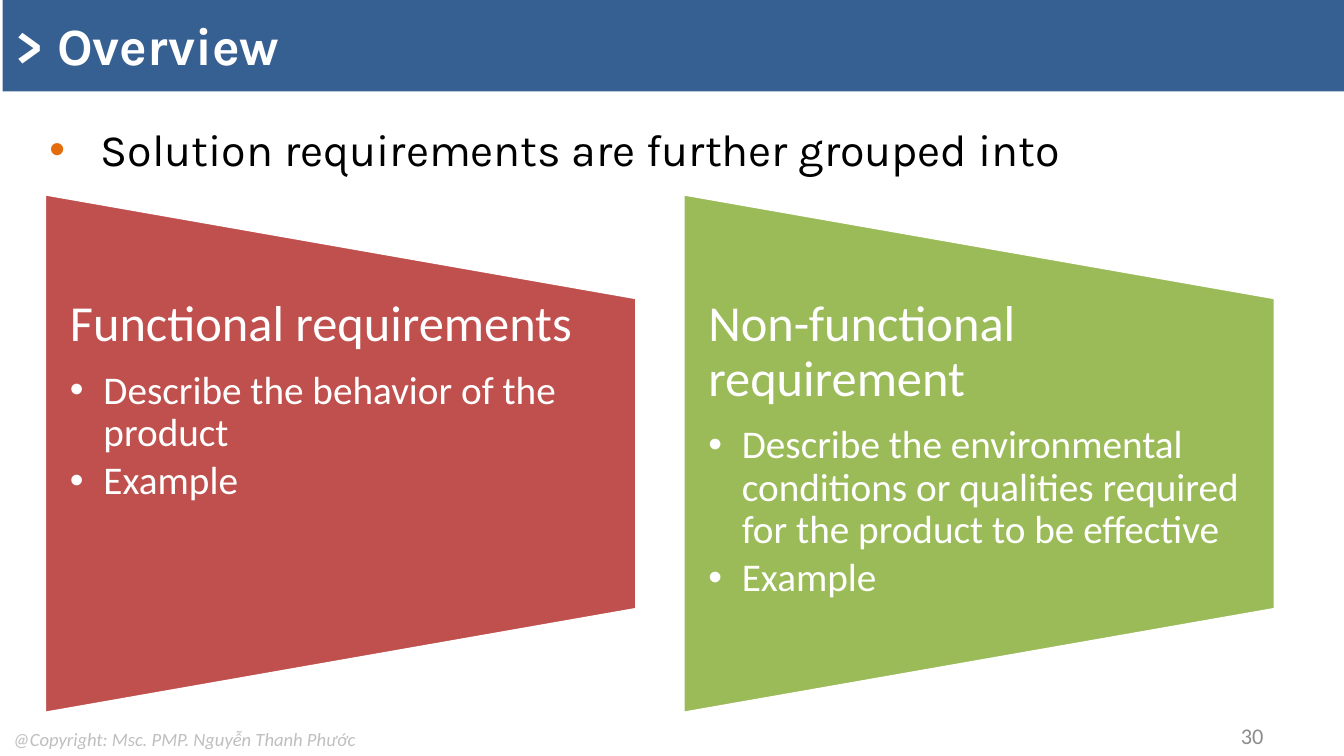
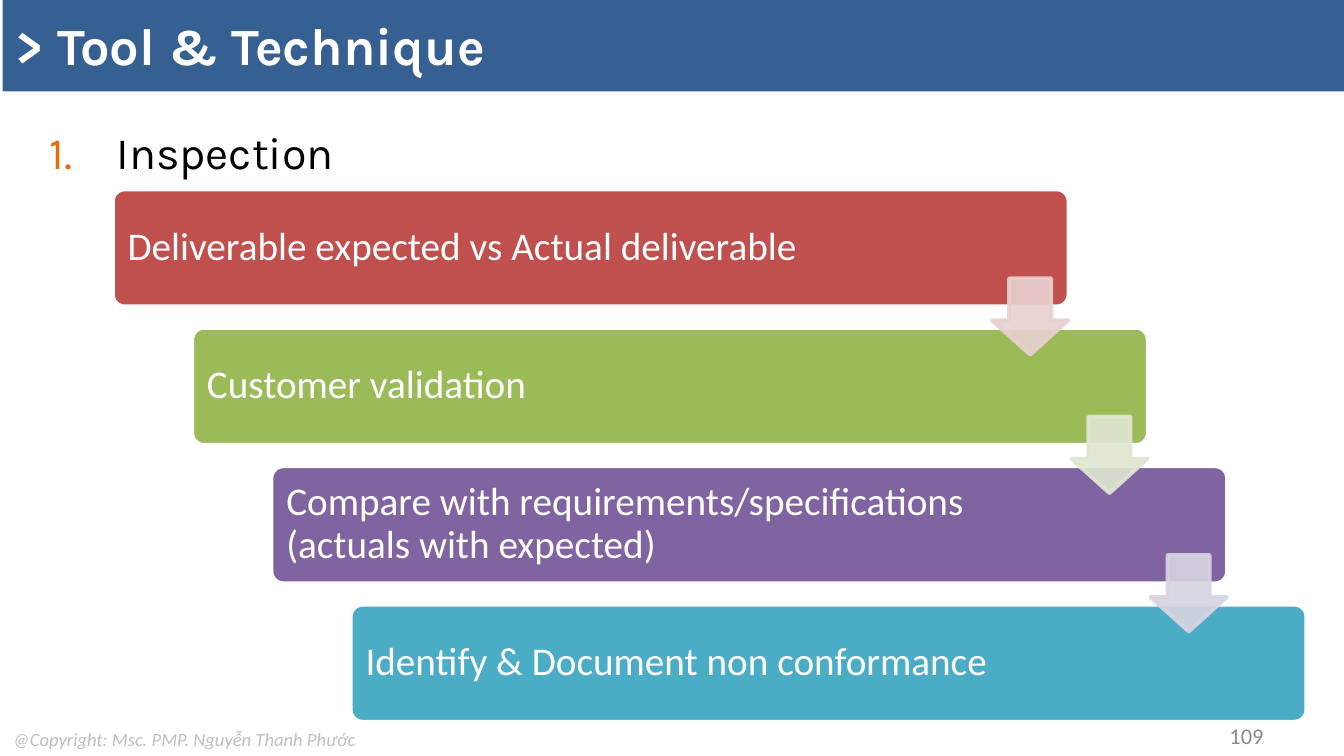
from dataclasses import dataclass
from typing import Optional
from lxml import etree
from pptx import Presentation
from pptx import util as u
from pptx.dml import color
from pptx.enum import shapes, text
from pptx.oxml import ns

HUES = {
    "band": "376092", "white": "FFFFFF", "black": "000000",
    "note": "BFBFBF", "page": "8C8C8C", "mark": "E46C0A",
    "red": "C0504D", "green": "9BBB59", "plum": "8064A2", "teal": "4BACC6",
    "pink": "E8D0D0", "mint": "DEE7D1", "mauve": "D8D3E0",
}
KINDS = shapes.MSO_SHAPE
MID = text.MSO_ANCHOR.MIDDLE
TOP = text.MSO_ANCHOR.TOP


@dataclass
class Box:
    x: float
    y: float
    w: float
    h: float

    def emu(self) -> list:
        return [u.Inches(v) for v in (self.x, self.y, self.w, self.h)]


@dataclass
class Style:
    size: float
    hue: str = "white"
    face: str = "Calibri"
    bold: bool = False
    slant: bool = False
    after: float = 0
    lead: Optional[float] = None
    align: text.PP_ALIGN = text.PP_ALIGN.LEFT
    level: int = 0
    indent: float = 0
    mark: str = ""
    tint: str = ""


@dataclass
class Panel:
    hue: str
    head: str
    items: list


@dataclass
class Step:
    hue: str
    label: str
    arrow: str = ""


TITLE = Style(28, face="Karla", bold=True)
NOTE = Style(10, "note", slant=True)
PAGE = Style(12, "page", align=text.PP_ALIGN.RIGHT)
POINT = Style(24, "black", "Karla", indent=0.38, mark="•", tint="mark")
COUNT = Style(24, "black", "Karla", align=text.PP_ALIGN.JUSTIFY,
              indent=0.5, mark="1.", tint="mark")
HEAD = Style(27, lead=0.9, after=9.45)
ITEM = Style(21, lead=0.9, after=3.15, level=1, indent=0.25, mark="•")
LABEL = Style(21, lead=0.9, after=7.35)

PANELS = [
    Panel("red", "Functional requirements",
          ["Describe the behavior of the product", "Example"]),
    Panel("green", "Non-functional requirement",
          ["Describe the environmental conditions or qualities required "
           "for the product to be effective", "Example"]),
]
STEPS = [
    Step("red", "Deliverable expected vs Actual deliverable", "pink"),
    Step("green", "Customer validation", "mint"),
    Step("plum", "Compare with requirements/specifications "
                 "(actuals with expected)", "mauve"),
    Step("teal", "Identify & Document non conformance"),
]


def rgb(hue: str) -> color.RGBColor:
    return color.RGBColor.from_string(HUES[hue])


def bullet(para, style: Style) -> None:
    props = para._p.get_or_add_pPr()
    props.set("marL", str(u.Inches(style.indent)))
    props.set("indent", str(-u.Inches(style.indent)))
    if style.tint:
        tint = etree.SubElement(props, ns.qn("a:buClr"))
        etree.SubElement(tint, ns.qn("a:srgbClr"), val=HUES[style.tint])
    if style.mark == "1.":
        etree.SubElement(props, ns.qn("a:buAutoNum"), type="arabicPeriod")
    else:
        etree.SubElement(props, ns.qn("a:buFont"), typeface="Arial")
        etree.SubElement(props, ns.qn("a:buChar"), char=style.mark)


def write(frame, lines: list, anchor=TOP, pads=(0.1, 0.05), wrap=True) -> None:
    frame.word_wrap = wrap
    frame.vertical_anchor = anchor
    frame.margin_left = frame.margin_right = u.Inches(pads[0])
    frame.margin_top = frame.margin_bottom = u.Inches(pads[1])
    frame.text = "\n".join(line for line, _ in lines)
    for para, (_, style) in zip(frame.paragraphs, lines):
        para.level = style.level
        para.alignment = style.align
        if style.mark:
            bullet(para, style)
        if style.lead:
            para.line_spacing = style.lead
        if style.after:
            para.space_after = u.Pt(style.after)
        for run in para.runs:
            font = run.font
            font.size = u.Pt(style.size)
            font.name = style.face
            font.bold = style.bold
            font.italic = style.slant
            font.color.rgb = rgb(style.hue)


def label(slide, box: Box, lines: list, **opts) -> None:
    write(slide.shapes.add_textbox(*box.emu()).text_frame, lines, **opts)


def shape(slide, kind, box: Box, hue: str, edge: str = "", adjust=()):
    form = slide.shapes.add_shape(kind, *box.emu())
    form.shadow.inherit = False
    form.fill.solid()
    form.fill.fore_color.rgb = rgb(hue)
    if edge:
        form.line.color.rgb = rgb(edge)
        form.line.width = u.Pt(2)
    else:
        form.line.fill.background()
    for i, value in enumerate(adjust):
        form.adjustments[i] = value
    return form


def fade(form, share: int) -> None:
    for tone in form._element.spPr.iter(ns.qn("a:srgbClr")):
        etree.SubElement(tone, ns.qn("a:alpha"), val=str(share * 1000))


def start(deck, title: str, page: int):
    slide = deck.slides.add_slide(deck.slide_layouts[6])
    label(slide, Box(0, 5.37, 2.81, 0.27),
          [("@Copyright: Msc. PMP. Nguyễn Thanh Phước", NOTE)], wrap=False)
    band = shape(slide, KINDS.RECTANGLE, Box(0.02, -0.02, 9.98, 0.7), "band")
    write(band.text_frame, [(title, TITLE)], anchor=MID)
    label(slide, Box(7.17, 5.32, 2.33, 0.3), [(str(page), PAGE)], anchor=MID)
    return slide


def groups(deck) -> None:
    slide = start(deck, "> Overview", 30)
    label(slide, Box(0.27, 0.86, 9.23, 0.53),
          [("Solution requirements are further grouped into", POINT)])
    for i, panel in enumerate(PANELS):
        shift = 4.75 * i
        form = shape(slide, KINDS.FLOWCHART_MANUAL_OPERATION,
                     Box(0.6 + shift, 1.17, 3.87, 4.41), panel.hue, "white")
        form.rotation = 270
        lines = [(panel.head, HEAD)] + [(item, ITEM) for item in panel.items]
        label(slide, Box(0.33 + shift, 2.22, 4.41, 2.32), lines, pads=(0.19, 0))


def stairs(deck) -> None:
    slide = start(deck, "> Tool & Technique", 109)
    label(slide, Box(0.27, 0.88, 9, 4.35), [("Inspection", COUNT)])
    for i, step in enumerate(STEPS):
        x, y = 0.84 + 0.59 * i, 1.41 + 1.03 * i
        shape(slide, KINDS.ROUNDED_RECTANGLE, Box(x, y, 7.11, 0.87),
              step.hue, "white", [0.1])
        label(slide, Box(x + 0.02, y + 0.02, 5.9, 0.82),
              [(step.label, LABEL)], anchor=MID, pads=(0.09, 0.09))
    for i, step in enumerate(STEPS[:-1]):
        arrow = shape(slide, KINDS.DOWN_ARROW,
                      Box(7.38 + 0.59 * i, 2.07 + 1.03 * i, 0.57, 0.57),
                      step.arrow, step.arrow, [0.55, 0.45])
        fade(arrow, 90)


def main() -> None:
    deck = Presentation()
    deck.slide_width = u.Inches(10)
    deck.slide_height = deck.slide_width * 9 // 16
    groups(deck)
    stairs(deck)
    deck.save("out.pptx")


if __name__ == "__main__":
    main()
